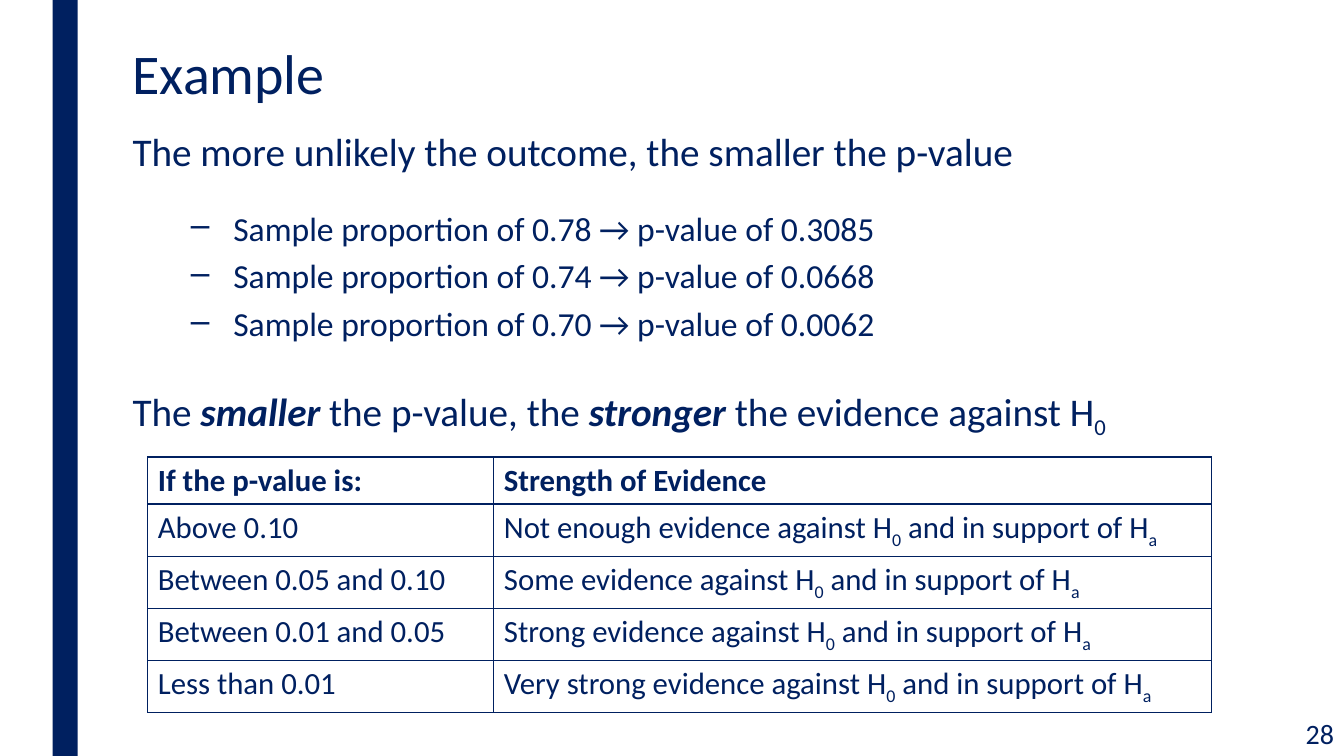
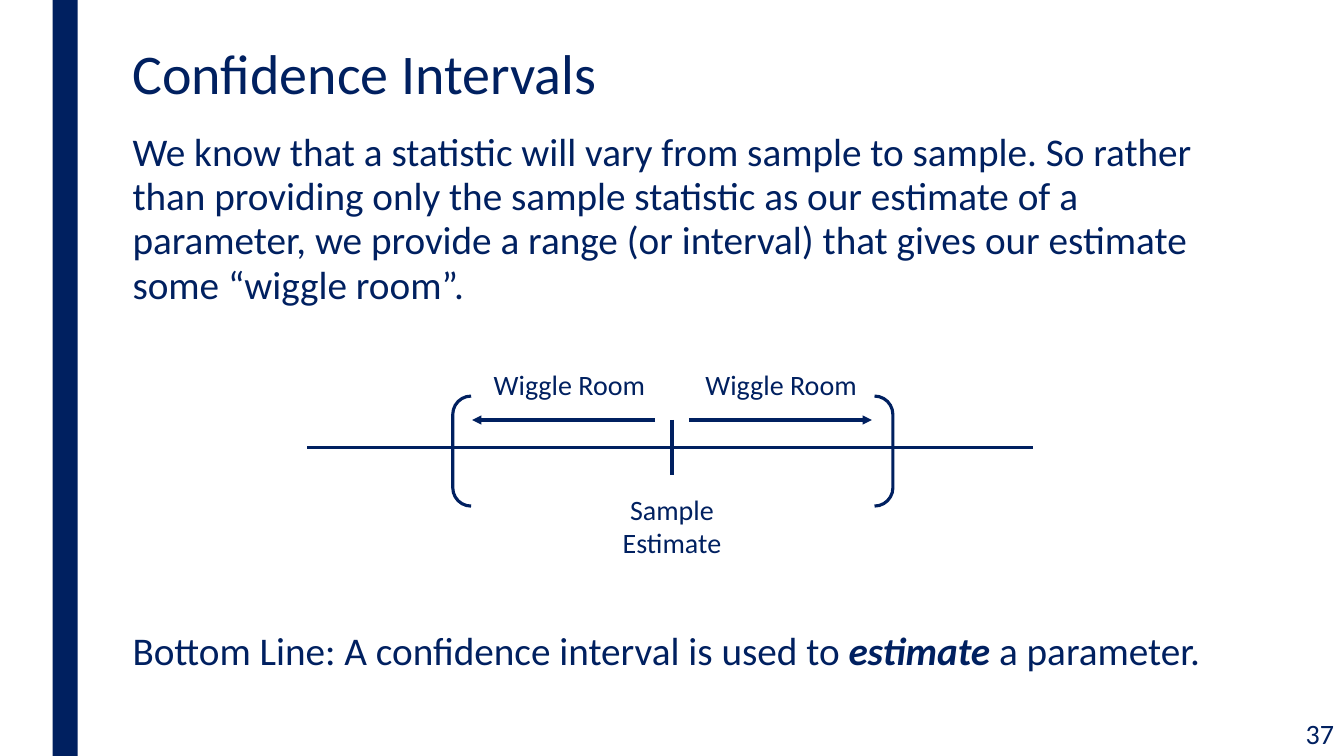
"""Builds two statistics slides: p-value evidence and confidence intervals."""
import pptx
import pptx.dml.color
import pptx.enum.shapes
import pptx.enum.text
import pptx.oxml
import pptx.oxml.ns
import pptx.util

COLORS = {"navy": "002060", "white": "FFFFFF"}
FONT = "Calibri"
COLUMNS, ROWS = 160, 90
UNIT = pptx.util.Inches(1) / 12
MIDDLE = COLUMNS / 2
MARGIN, CONTENT_WIDTH = 14.6, 132.7
LINE_WIDTH = pptx.util.Pt(2.25)

ALIGN = pptx.enum.text.PP_ALIGN
ANCHOR = pptx.enum.text.MSO_ANCHOR
SHAPES = pptx.enum.shapes.MSO_SHAPE

EMPHASIS = {"bold": True, "italic": True}
BOLD = {"bold": True}
SUBSCRIPT = {"baseline": "-25000"}
TITLE_FORMAT = {"line_spacing": 0.89}
BODY_FORMAT = {
    "line_spacing": 0.94,
    "space_before": pptx.util.Pt(10),
    "space_after": pptx.util.Pt(2),
}
BULLET_FORMAT = {**BODY_FORMAT, "space_before": pptx.util.Pt(5)}


def grid(*lengths):
    """Turn grid columns or rows into slide lengths."""
    return [pptx.util.Emu(round(length * UNIT)) for length in lengths]


def color(name):
    """Look up a colour by name."""
    return pptx.dml.color.RGBColor.from_string(COLORS[name])


def apply_format(target, values):
    """Set each attribute named in a dict of format values."""
    for name, value in values.items():
        setattr(target, name, value)


def add_xml(parent, markup):
    """Append a drawing element to a parent element."""
    namespace = pptx.oxml.ns.nsdecls("a")
    tag, separator, rest = markup.partition(" ")
    parent.append(pptx.oxml.parse_xml(f"<{tag} {namespace}{separator}{rest}/>"))


def write_runs(paragraph, runs, size):
    """Write plain strings and (text, style) pairs into a paragraph."""
    for item in runs:
        text, style = (item, {}) if isinstance(item, str) else item
        run = paragraph.add_run()
        run.text = text
        apply_format(run.font, {"name": FONT, "size": pptx.util.Pt(size)})
        run.font.color.rgb = color("navy")
        if "baseline" in style:
            run._r.get_or_add_rPr().set("baseline", style["baseline"])
        else:
            apply_format(run.font, style)


def make_bullet(paragraph):
    """Give a paragraph an indented dash bullet."""
    properties = paragraph._p.get_or_add_pPr()
    properties.set("marL", str(pptx.util.Inches(1)))
    properties.set("indent", str(pptx.util.Inches(-0.42)))
    add_xml(properties, 'a:buChar char="–"')


def add_text(slide, box, paragraphs, size, anchor=ANCHOR.TOP):
    """Add a text box from (runs, format) pairs."""
    frame = slide.shapes.add_textbox(*grid(*box)).text_frame
    apply_format(frame, {"word_wrap": True, "vertical_anchor": anchor})
    for index, (runs, values) in enumerate(paragraphs):
        paragraph = frame.add_paragraph() if index else frame.paragraphs[0]
        apply_format(paragraph, values)
        write_runs(paragraph, runs, size)
    return frame


def add_shape(slide, kind, box):
    """Add a preset shape without shadow."""
    shape = slide.shapes.add_shape(kind, *grid(*box))
    shape.shadow.inherit = False
    return shape


def add_line(slide, start, end, arrow=False):
    """Add a straight line, optionally with an arrowhead at its end."""
    connector = slide.shapes.add_connector(
        pptx.enum.shapes.MSO_CONNECTOR.STRAIGHT, *grid(*start, *end))
    connector.line.color.rgb = color("navy")
    connector.line.width = LINE_WIDTH
    if arrow:
        add_xml(connector.line._get_or_add_ln(), 'a:tailEnd type="triangle"')
    add_xml(connector._element.spPr, "a:effectLst")


def add_slide(presentation, title, number):
    """Add a blank slide with side band, title and page number."""
    slide = presentation.slides.add_slide(presentation.slide_layouts[6])
    band = add_shape(slide, SHAPES.RECTANGLE, (6.25, 0, 3, ROWS))
    band.fill.solid()
    band.fill.fore_color.rgb = color("navy")
    band.line.fill.background()
    add_text(slide, (MARGIN, 5, CONTENT_WIDTH, 9.7), [([title], TITLE_FORMAT)], 40)
    add_text(slide, (139, 84.7, 21, 5.3), [([str(number)], {"alignment": ALIGN.RIGHT})],
             20, ANCHOR.MIDDLE)
    return slide


def add_body(slide, paragraphs, width=CONTENT_WIDTH):
    """Add the main text below the title."""
    return add_text(slide, (MARGIN, 15, width, 68.5), paragraphs, 28)


def outline_cell(cell):
    """Give a cell a white fill and thin borders."""
    properties = cell._tc.get_or_add_tcPr()
    for side in ("lnL", "lnR", "lnT", "lnB"):
        add_xml(properties, f'a:{side} w="{pptx.util.Pt(1)}"')
        add_xml(properties[-1], "a:solidFill")
        add_xml(properties[-1][0], f'a:srgbClr val="{COLORS["navy"]}"')
    cell.fill.solid()
    cell.fill.fore_color.rgb = color("white")


def add_table(slide, left, top, widths, row_height, rows):
    """Add an outlined table whose cells are lists of runs."""
    box = (left, top, sum(widths), row_height * len(rows))
    table = slide.shapes.add_table(len(rows), len(widths), *grid(*box)).table
    apply_format(table, {"first_row": False, "horz_banding": False})
    for column, width in zip(table.columns, grid(*widths)):
        column.width = width
    for row, contents in zip(table.rows, rows):
        for cell, runs in zip(row.cells, contents):
            write_runs(cell.text_frame.paragraphs[0], runs, 22)
            outline_cell(cell)


def build_evidence_slide(presentation):
    """Build the slide that relates p-values to evidence."""
    slide = add_slide(presentation, "Example", 28)
    samples = [("0.78", "0.3085"), ("0.74", "0.0668"), ("0.70", "0.0062")]
    body = add_body(slide, [
        (["The more unlikely the outcome, the smaller the p-value"], BODY_FORMAT),
        (["The ", ("smaller", EMPHASIS), " the p-value, the ", ("stronger", EMPHASIS),
          " the evidence against H", ("0", SUBSCRIPT)],
         {**BODY_FORMAT, "space_before": pptx.util.Pt(28.5)}),
    ])
    conclusion = body.paragraphs[1]
    for index, (proportion, p_value) in enumerate(samples):
        paragraph = body.add_paragraph()
        conclusion._p.addprevious(paragraph._p)
        apply_format(paragraph, BULLET_FORMAT)
        if index == 0:
            paragraph.space_before = pptx.util.Pt(23.5)
        make_bullet(paragraph)
        write_runs(paragraph,
                   [f"Sample proportion of {proportion} → p-value of {p_value}"], 24)
    strengths = [
        ("Above 0.10", "Not enough"),
        ("Between 0.05 and 0.10", "Some"),
        ("Between 0.01 and 0.05", "Strong"),
        ("Less than 0.01", "Very strong"),
    ]
    header = [[("If the p-value is:", BOLD)], [("Strength of Evidence", BOLD)]]
    rows = [[[p_range], [f"{strength} evidence against H", ("0", SUBSCRIPT),
                         " and in support of H", ("a", SUBSCRIPT)]]
            for p_range, strength in strengths]
    add_table(slide, 17.6, 54.4, (41.2, 85.4), 4.9, [header, *rows])


def add_interval_diagram(slide):
    """Draw the number line with its estimate, arrows and brackets."""
    axis, arrows = 53.25, 50
    add_line(slide, (MIDDLE - 43.4, axis), (MIDDLE + 43, axis))
    add_text(slide, (MIDDLE - 7.3, 58, 14.6, 9.2),
             [(["Sample Estimate"], {"alignment": ALIGN.CENTER})], 20)
    add_line(slide, (MIDDLE, arrows), (MIDDLE, 2 * axis - arrows))
    for direction, label_left in ((1, 82.8), (-1, 57.6)):
        add_line(slide, (MIDDLE + direction * 2, arrows),
                 (MIDDLE + direction * 23.8, arrows), arrow=True)
        add_text(slide, (label_left, 43.2, 22.6, 5.3), [(["Wiggle Room"], {})], 20)
    brackets = add_shape(slide, SHAPES.DOUBLE_BRACKET,
                         (MIDDLE - 26.1, 47.15, 52.4, 13.1))
    brackets.fill.background()
    brackets.line.color.rgb = color("navy")
    brackets.line.width = LINE_WIDTH


def build_interval_slide(presentation):
    """Build the slide that explains confidence intervals."""
    slide = add_slide(presentation, "Confidence Intervals", 37)
    add_body(slide, [
        (["We know that a statistic will vary from sample to sample. So rather than "
          "providing only the sample statistic as our estimate of a parameter, we "
          "provide a range (or interval) that gives our estimate some “wiggle room”."],
         BODY_FORMAT),
        (["Bottom Line: A confidence interval is used to ", ("estimate", EMPHASIS),
          " a parameter."], {**BODY_FORMAT, "space_before": pptx.util.Pt(228)}),
    ], width=134.2)
    add_interval_diagram(slide)


def main():
    """Build and save the presentation."""
    presentation = pptx.Presentation()
    size = grid(COLUMNS, ROWS)
    apply_format(presentation, dict(zip(("slide_width", "slide_height"), size)))
    build_evidence_slide(presentation)
    build_interval_slide(presentation)
    presentation.save("out.pptx")


if __name__ == "__main__":
    main()
